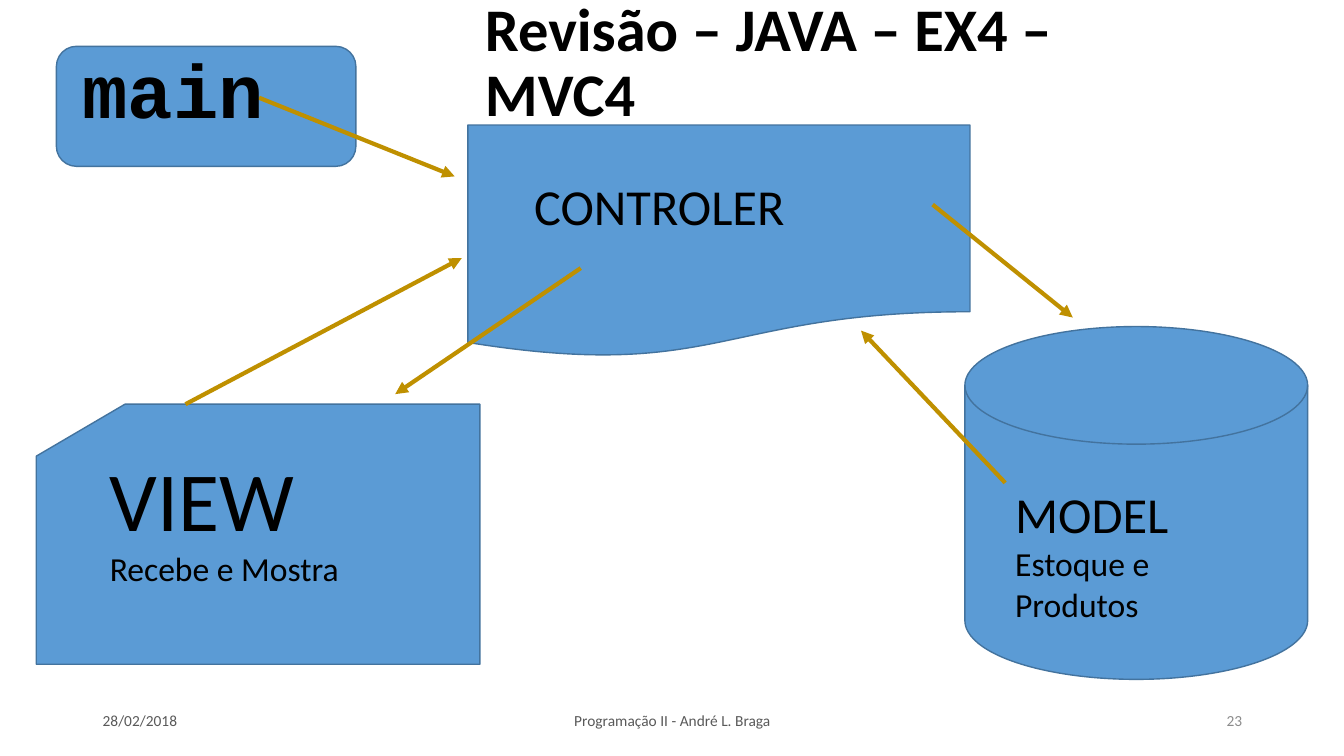
from pptx import Presentation
from pptx.dml.color import RGBColor
from pptx.enum.shapes import MSO_CONNECTOR as Link, MSO_SHAPE as Kind
from pptx.enum.text import MSO_ANCHOR as Anchor, PP_ALIGN as Align
from pptx.oxml.ns import qn
from pptx.util import Inches, Pt
from lxml.etree import SubElement

BLUE, EDGE, GOLD = "5B9BD5", "43739E", "BF9000"
BLACK, GREY, PALE = "000000", "595959", "8C8C8C"

# Each part: shape, box, label offset and size, lines with sizes, font, bold
PARTS = [
    (Kind.FLOWCHART_MAGNETIC_DISK, (9.57, 3.24, 3.4, 3.5), (0.4, 1.5, 2.46, 1.51),
     [("MODEL", 36), ("Estoque e", 24), ("Produtos", 24)], "Calibri", False),
    (Kind.FLOWCHART_CARD, (0.36, 4.01, 4.4, 2.58), (0.63, 0.38, 3.52, 1.51),
     [("VIEW", 60), ("Recebe e Mostra", 24)], "Calibri", False),
    (Kind.FLOWCHART_DOCUMENT, (4.64, 1.24, 4.98, 2.31), (0.56, 0.45, 4.11, 0.71),
     [("CONTROLER", 36)], "Calibri", False),
    (Kind.FLOWCHART_ALTERNATE_PROCESS, (0.56, 0.46, 2.97, 1.19), (0.16, -0.08, 2.22, 1.01),
     [("main", 54)], "Courier New", True),
]

# Start and end of each arrow
ARROWS = [
    ((2.57, 0.97), (4.51, 1.75)),    # main to controller
    ((1.84, 4.01), (4.58, 2.56)),    # view to controller
    ((9.25, 2.03), (10.64, 3.15)),   # controller to model
    ((9.97, 4.79), (8.54, 3.28)),    # model to controller
    ((5.76, 2.66), (3.92, 3.91)),    # controller to view
]

FOOTER = [
    ("28/02/2018", 0.92, 3, Align.LEFT, GREY),
    ("Programação II - André L. Braga", 4.42, 4.5, Align.CENTER, GREY),
    ("23", 9.42, 3, Align.RIGHT, PALE),
]


def rgb(code):
    return RGBColor.from_string(code)


def style(para, size, color=BLACK, face="Calibri", bold=False):
    for run in para.runs:
        font = run.font
        font.size, font.name, font.bold = Pt(size), face, bold
        font.color.rgb = rgb(color)


def title(slide, box, text):
    head = slide.shapes.title
    head.left, head.top, head.width, head.height = map(Inches, box)
    frame = head.text_frame
    frame.text = text
    frame.word_wrap = True
    frame.vertical_anchor = Anchor.MIDDLE
    para = frame.paragraphs[0]
    para.alignment, para.line_spacing = Align.LEFT, 0.9
    style(para, 43.2, bold=True)


def block(slide, kind, box):
    shape = slide.shapes.add_shape(kind, *map(Inches, box))
    shape.shadow.inherit = False
    shape.fill.solid()
    shape.fill.fore_color.rgb = rgb(BLUE)
    shape.line.color.rgb = rgb(EDGE)
    shape.line.width = Pt(1)


def arrow(slide, start, end):
    line = slide.shapes.add_connector(Link.STRAIGHT, *map(Inches, start + end))
    line.line.color.rgb = rgb(GOLD)
    line.line.width = Pt(3)
    SubElement(line.line._get_or_add_ln(), qn("a:tailEnd"), type="triangle")
    SubElement(line._element.spPr, qn("a:effectLst"))


def label(slide, box, inset, lines, face, bold):
    left, top, wide, high = inset
    place = (box[0] + left, box[1] + top, wide, high)
    frame = slide.shapes.add_textbox(*map(Inches, place)).text_frame
    frame.word_wrap = True
    frame.text = "\n".join(text for text, _ in lines)
    for para, (_, size) in zip(frame.paragraphs, lines):
        style(para, size, face=face, bold=bold)


def footer(slide, top, high):
    for text, left, wide, align, color in FOOTER:
        frame = slide.shapes.add_textbox(*map(Inches, (left, top, wide, high))).text_frame
        frame.text = text
        frame.word_wrap = True
        frame.vertical_anchor = Anchor.MIDDLE
        para = frame.paragraphs[0]
        para.alignment = align
        style(para, 11, color)


def main():
    deck = Presentation()
    deck.slide_width, deck.slide_height = Inches(13.33), Inches(7.5)
    slide = deck.slides.add_slide(deck.slide_layouts[5])
    title(slide, (4.71, 0.13, 7.41, 1.02), "Revisão – JAVA – EX4 – MVC4")
    # Blocks lie below the arrows, labels above them
    for kind, box, *_ in PARTS:
        block(slide, kind, box)
    for start, end in ARROWS:
        arrow(slide, start, end)
    for _, *text in PARTS:
        label(slide, *text)
    footer(slide, 6.95, 0.4)
    deck.save("out.pptx")


if __name__ == "__main__":
    main()
